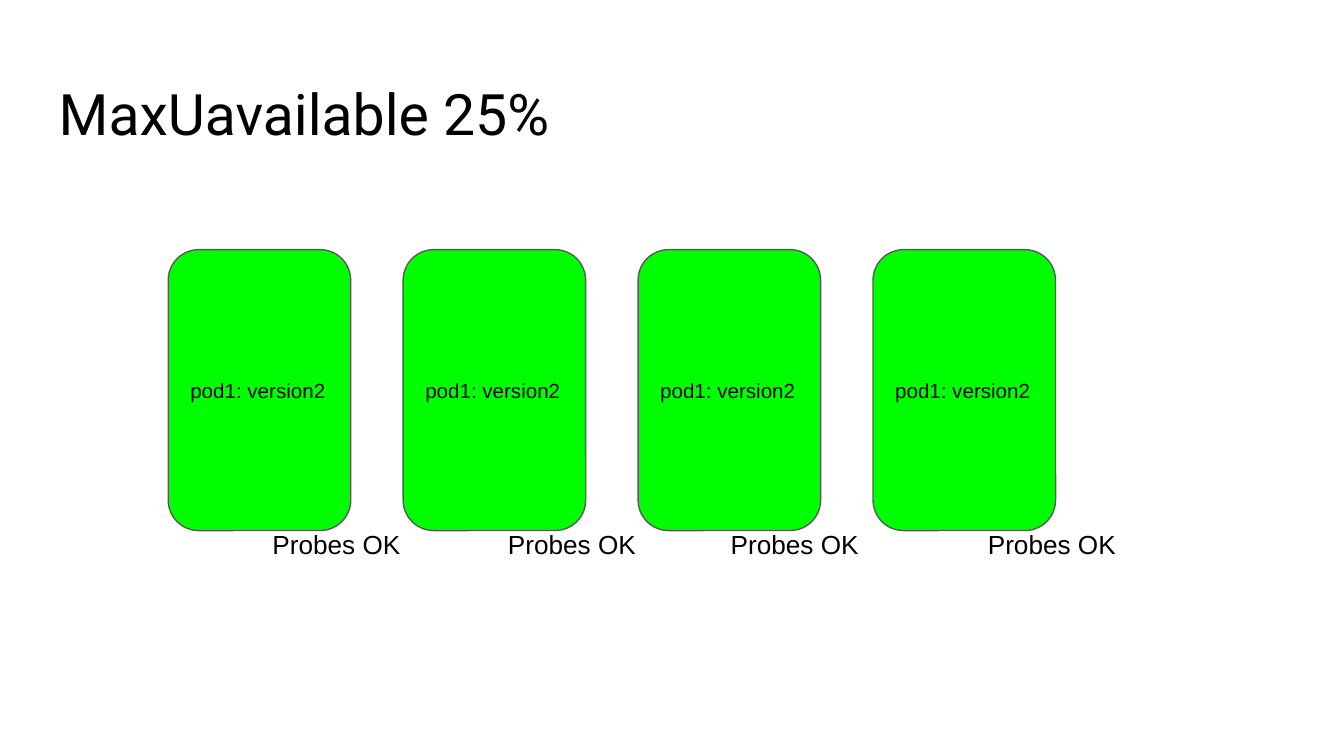
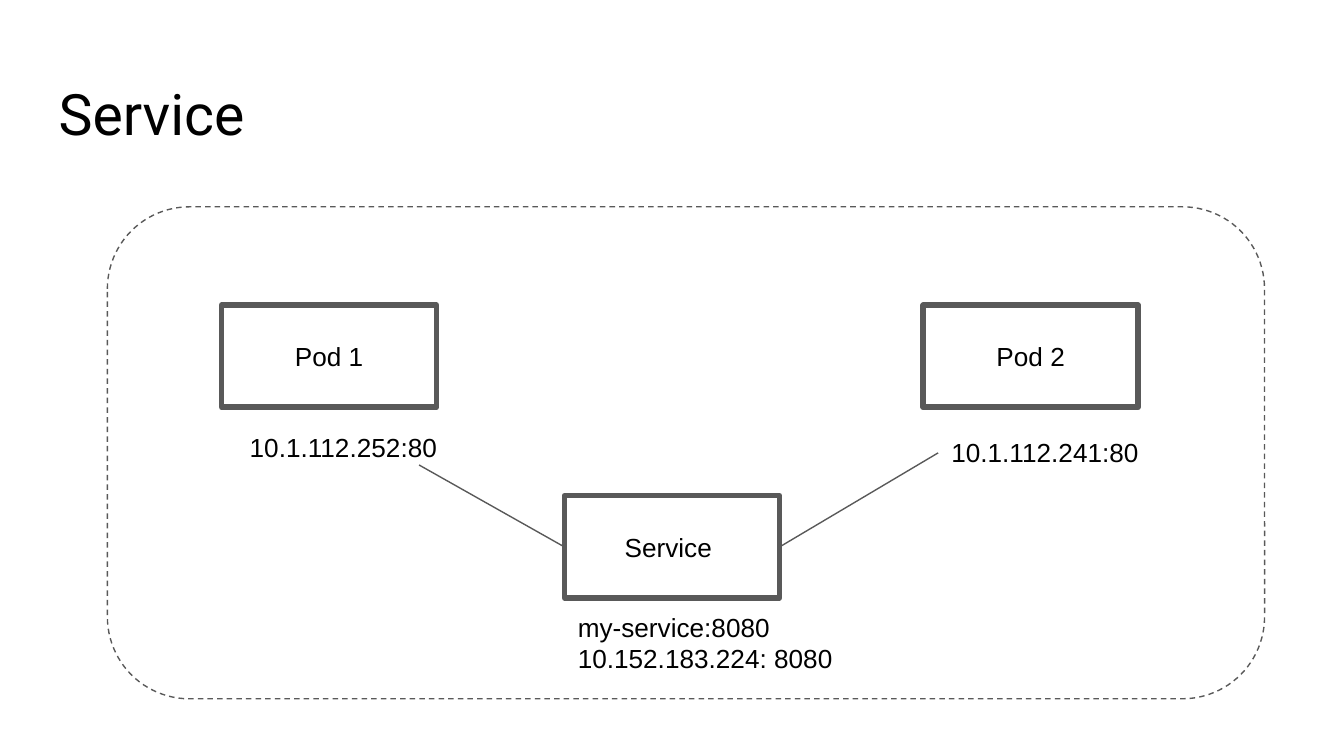
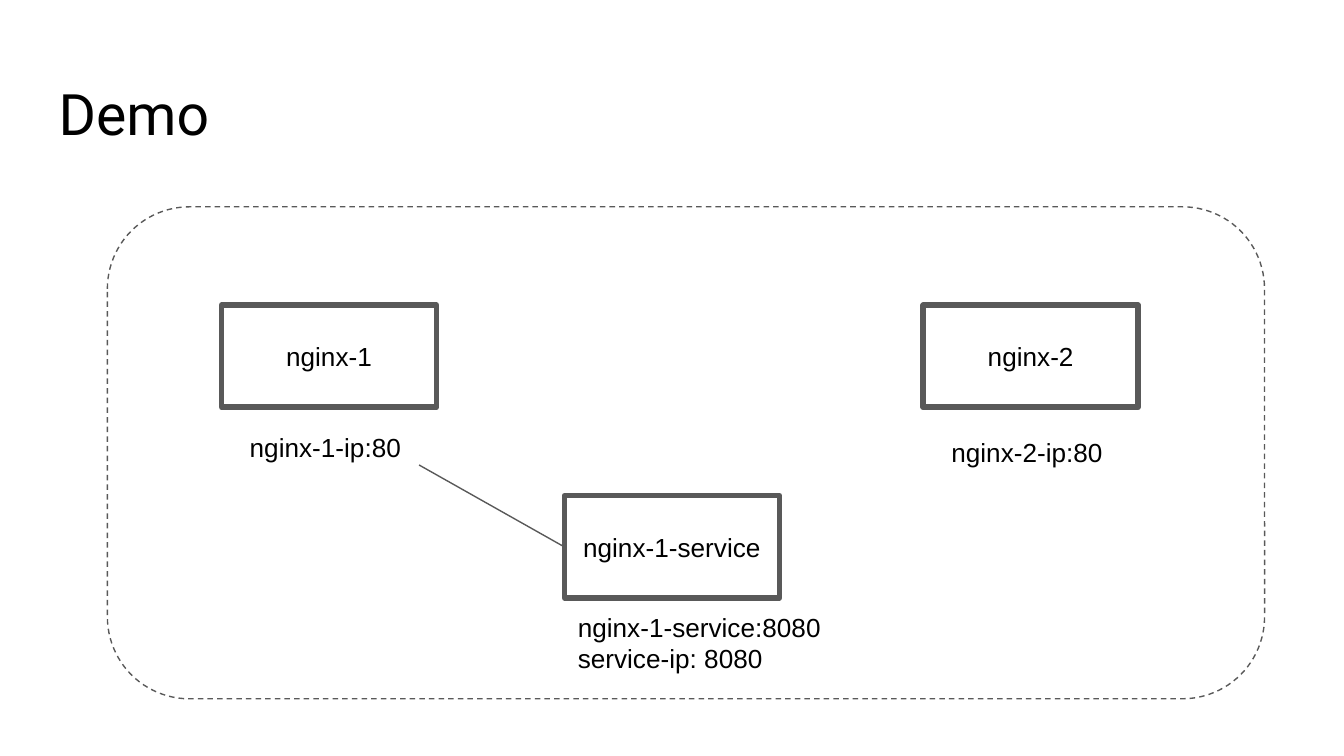
"""Build three slides on a rolling update and on services in front of pods."""
import dataclasses

import pptx
import pptx.dml.color
import pptx.enum.dml
import pptx.enum.shapes
import pptx.enum.text
import pptx.oxml
import pptx.util

Cm = pptx.util.Cm
Pt = pptx.util.Pt
RGB = pptx.dml.color.RGBColor
Kind = pptx.enum.shapes.MSO_SHAPE
Align = pptx.enum.text.PP_ALIGN
Anchor = pptx.enum.text.MSO_ANCHOR


@dataclasses.dataclass(frozen=True)
class Theme:
    ink: RGB = RGB(0x00, 0x00, 0x00)
    paper: RGB = RGB(0xFF, 0xFF, 0xFF)
    edge: RGB = RGB(0x59, 0x59, 0x59)
    ready: RGB = RGB(0x00, 0xFF, 0x00)
    head: str = "Roboto"
    body: str = "Arial"
    title: float = 30.6
    text: float = 14
    small: float = 11
    thin: float = 0.75
    thick: float = 3


theme = Theme()


def write(slide, spot, lines, size=theme.text, font=theme.body, shape=None):
    if shape is None:
        shape = slide.shapes.add_textbox(*map(Cm, spot))
    frame = shape.text_frame
    frame.word_wrap = True
    frame.margin_left = frame.margin_right = Cm(0.25)
    frame.margin_top = frame.margin_bottom = Cm(0.25)
    for row, line in enumerate(lines):
        para = frame.add_paragraph() if row else frame.paragraphs[0]
        run = para.add_run()
        run.text = line
        run.font.name = font
        run.font.size = Pt(size)
        run.font.color.rgb = theme.ink
    return frame


def draw(slide, kind, spot, width, fill=None):
    shape = slide.shapes.add_shape(kind, *map(Cm, spot))
    shape.shadow.inherit = False
    if fill is None:
        shape.fill.background()
    else:
        shape.fill.solid()
        shape.fill.fore_color.rgb = fill
    shape.line.color.rgb = theme.edge
    shape.line.width = Pt(width)
    return shape


deck = pptx.Presentation()
deck.slide_width = Cm(25.4)
deck.slide_height = Cm(14.29)
slides = []
for title in ("MaxUavailable 25%", "Service", "Demo"):
    slide = deck.slides.add_slide(deck.slide_layouts[6])
    slide.background.fill.solid()
    slide.background.fill.fore_color.rgb = theme.paper
    write(slide, (0.86, 1.24, 23.67, 1.6), [title], theme.title, theme.head)
    slides.append(slide)

update = slides[0]
for col in range(4):
    spot = (3.18 + 4.44 * col, 4.72, 3.45, 5.31)
    pod = draw(update, Kind.ROUNDED_RECTANGLE, spot, theme.thin, theme.ready)
    frame = write(update, spot, ["pod1: version2"], theme.small, shape=pod)
    frame.vertical_anchor = Anchor.MIDDLE
    frame.paragraphs[0].alignment = Align.LEFT
for left in (18.42, 13.56, 9.35, 4.9):
    write(update, (left, 9.73, 6.38, 1.12), ["Probes OK"])

left_link = (7.92, 8.79, 10.67, 10.34)
right_link = (14.73, 10.34, 17.73, 8.56)
nets = (
    (
        ("Pod 1", "Pod 2", "Service "),
        ("10.1.112.252:80", "10.1.112.241:80"),
        ("my-service:8080", "10.152.183.224: 8080"),
        (left_link, right_link),
    ),
    (
        ("nginx-1", "nginx-2", "nginx-1-service"),
        ("nginx-1-ip:80", "nginx-2-ip:80"),
        ("nginx-1-service:8080", "service-ip: 8080"),
        (left_link,),
    ),
)
places = ((4.19, 5.77), (17.45, 5.77), (10.67, 9.37))
hosts = ((4.47, 7.9), (17.73, 8.0))

for slide, (names, ports, routes, links) in zip(slides[1:], nets):
    zone = draw(slide, Kind.ROUNDED_RECTANGLE, (2.03, 3.91, 21.87, 9.3), theme.thin)
    zone.line.dash_style = pptx.enum.dml.MSO_LINE.DASH
    for name, place in zip(names, places):
        spot = (*place, 4.06, 1.93)
        box = draw(slide, Kind.RECTANGLE, spot, theme.thick)
        frame = write(slide, spot, [name], shape=box)
        frame.vertical_anchor = Anchor.MIDDLE
        frame.paragraphs[0].alignment = Align.CENTER
    for port, host in zip(ports, hosts):
        write(slide, (*host, 4.07, 1.12), [port])
    write(slide, (10.67, 11.3, 6.05, 1.7), routes)
    for ends in links:
        link = slide.shapes.add_connector(
            pptx.enum.shapes.MSO_CONNECTOR.STRAIGHT, *map(Cm, ends)
        )
        link.line.color.rgb = theme.edge
        link.line.width = Pt(theme.thin)
        props = link._element.spPr
        props.append(pptx.oxml.xmlchemy.OxmlElement("a:effectLst"))

deck.save("out.pptx")
